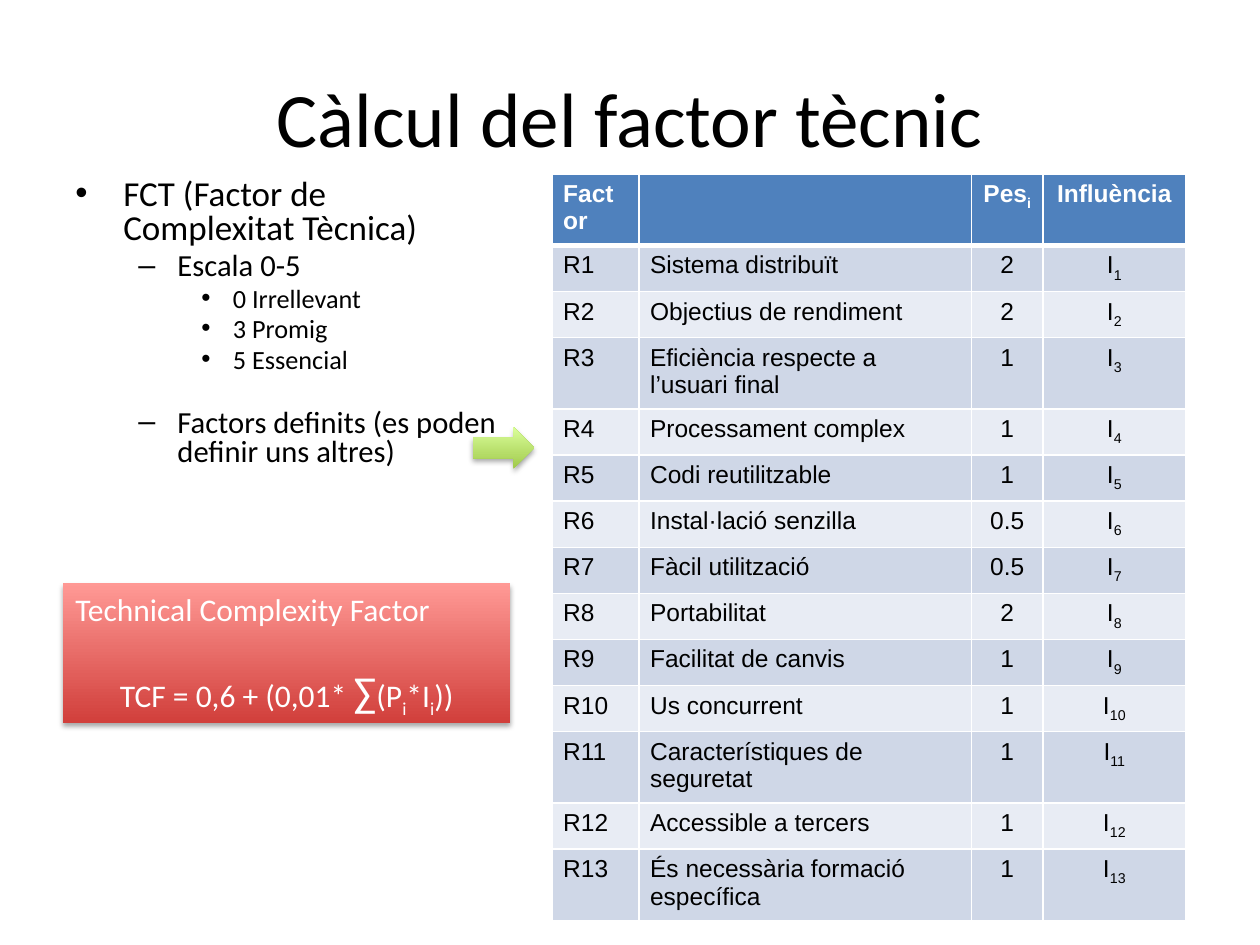
from pptx import Presentation
from pptx.dml.color import RGBColor
from pptx.enum.shapes import MSO_SHAPE
from pptx.enum.text import MSO_ANCHOR, PP_ALIGN
from pptx.oxml import parse_xml
from pptx.oxml.ns import nsdecls
from pptx.util import Inches, Pt

BULLETS = [
    (0, "FCT (Factor de Complexitat Tècnica)", 0),
    (1, "Escala 0-5", 3.5),
    (2, "0 Irrellevant", 3),
    (2, "3 Promig", 3),
    (2, "5 Essencial", 3),
    (1, "Factors definits (es poden definir uns altres)", 20.5),
]
LEVELS = [(0.38, 0.38, "•", 20), (0.81, 0.31, "–", 17.5), (1.25, 0.25, "•", 15)]
FACTORS = [
    ("Sistema distribuït", "2"),
    ("Objectius de rendiment", "2"),
    ("Eficiència respecte a l’usuari final", "1"),
    ("Processament complex", "1"),
    ("Codi reutilitzable", "1"),
    ("Instal·lació senzilla", "0.5"),
    ("Fàcil utilització", "0.5"),
    ("Portabilitat", "2"),
    ("Facilitat de canvis", "1"),
    ("Us concurrent", "1"),
    ("Característiques de seguretat", "1"),
    ("Accessible a tercers", "1"),
    ("És necessària formació específica", "1"),
]
COLUMNS = [0.69, 2.64, 0.57, 1.13]


def rgb(value):
    """Return the colour for a hex string."""
    return RGBColor.from_string(value)


def style(r, size, color, name="Calibri", bold=False):
    """Format one run."""
    r.font.size = Pt(size)
    r.font.name = name
    r.font.bold = bold
    r.font.color.rgb = rgb(color)


def add_runs(p, text, size, color, name="Calibri", bold=False):
    """Write text whose parts between tildes are subscripts."""
    for i, part in enumerate(text.split("~")):
        if part:
            r = p.add_run()
            r.text = part
            style(r, size, color, name, bold)
            if i % 2:
                r.font._element.set("baseline", "-25000")


def add_title(s, text):
    """Place and format the slide title."""
    sp = s.shapes.title
    sp.left, sp.top, sp.width, sp.height = map(Inches, (0.5, 0.3, 9, 1.25))
    tf = sp.text_frame
    tf.text = text
    tf.vertical_anchor = MSO_ANCHOR.MIDDLE
    p = tf.paragraphs[0]
    p.alignment = PP_ALIGN.CENTER
    style(p.runs[0], 44, "000000")


def add_bullets(s, items):
    """Add the multilevel bullet list."""
    sp = s.shapes.add_textbox(Inches(0.5), Inches(1.38), Inches(3.55), Inches(2.85))
    tf = sp.text_frame
    tf.word_wrap = True
    for i, (level, text, before) in enumerate(items):
        p = tf.paragraphs[0] if i == 0 else tf.add_paragraph()
        left, hanging, char, size = LEVELS[level]
        p.text = text
        p.level = level
        p.line_spacing = 0.8
        p.space_before = Pt(before)
        pPr = p._p.get_or_add_pPr()
        pPr.set("marL", str(Inches(left)))
        pPr.set("indent", str(-Inches(hanging)))
        for xml in (
            f'<a:buClr {nsdecls("a")}><a:srgbClr val="000000"/></a:buClr>',
            f'<a:buFont {nsdecls("a")} typeface="Arial"/>',
            f'<a:buChar {nsdecls("a")} char="{char}"/>',
        ):
            pPr.append(parse_xml(xml))
        style(p.runs[0], size, "000000")


def add_borders(cell, bottom):
    """Draw white borders round a cell."""
    tcPr = cell._tc.get_or_add_tcPr()
    for side, width in (("L", 1), ("R", 1), ("T", 1), ("B", bottom)):
        tcPr.append(parse_xml(
            f'<a:ln{side} {nsdecls("a")} w="{Pt(width)}"><a:solidFill>'
            f'<a:srgbClr val="FFFFFF"/></a:solidFill></a:ln{side}>'))


def add_factor_table(s):
    """Add the table of weighted factors."""
    rows = [("Factor", "", "Pes~i", "Influència")]
    rows += [(f"R{n}", name, weight, f"I~{n}")
             for n, (name, weight) in enumerate(FACTORS, 1)]
    frame = s.shapes.add_table(len(rows), len(COLUMNS), Inches(4.38), Inches(1.38),
                               Inches(sum(COLUMNS)), Inches(0.36 * len(rows)))
    table = frame.table
    for column, width in zip(table.columns, COLUMNS):
        column.width = Inches(width)
    for i, row in enumerate(rows):
        header = i == 0
        table.rows[i].height = Inches(0.36)
        fill = "4F81BD" if header else ("E8ECF4", "CFD7E7")[i % 2]
        for j, text in enumerate(row):
            cell = table.cell(i, j)
            cell.margin_left = cell.margin_right = Inches(0.09)
            add_borders(cell, 3 if header else 1)
            cell.fill.solid()
            cell.fill.fore_color.rgb = rgb(fill)
            p = cell.text_frame.paragraphs[0]
            if j > 1:
                p.alignment = PP_ALIGN.CENTER
            add_runs(p, text, 14, "FFFFFF" if header else "000000", "Arial", header)


def add_gradient_shape(s, kind, left, top, width, height, bottom, upper):
    """Add a shape with a vertical gradient and a soft shadow."""
    sp = s.shapes.add_shape(kind, Inches(left), Inches(top), Inches(width), Inches(height))
    sp.fill.gradient()
    sp.fill.gradient_angle = 90
    for stop, color in zip(sp.fill.gradient_stops, (bottom, upper)):
        stop.color.rgb = rgb(color)
    sp.line.fill.background()
    sp.shadow.inherit = False
    sp._element.spPr.find("{*}effectLst").append(parse_xml(
        f'<a:outerShdw {nsdecls("a")} blurRad="{Pt(3.1)}" dist="{Pt(1.8)}" dir="5400000" '
        'rotWithShape="0"><a:srgbClr val="000000"><a:alpha val="35000"/></a:srgbClr>'
        '</a:outerShdw>'))
    return sp


def add_formula(s):
    """Add the box with the complexity formula."""
    sp = add_gradient_shape(s, MSO_SHAPE.RECTANGLE, 0.5, 4.63, 3.55, 1.11, "D13F3B", "FF9995")
    tf = sp.text_frame
    tf.word_wrap = True
    tf.vertical_anchor = MSO_ANCHOR.TOP
    p = tf.paragraphs[0]
    p.alignment = PP_ALIGN.LEFT
    add_runs(p, "Technical Complexity Factor", 18, "FFFFFF")
    p = tf.add_paragraph()
    p.alignment = PP_ALIGN.CENTER
    p.space_before = Pt(22)
    add_runs(p, "TCF = 0,6 + (0,01* ", 18, "FFFFFF")
    add_runs(p, "∑", 24, "FFFFFF")
    add_runs(p, "(P~i~*I~i~))", 18, "FFFFFF")


def main():
    """Build and save the slide."""
    prs = Presentation()
    prs.slide_width, prs.slide_height = Inches(10), Inches(7.5)
    s = prs.slides.add_slide(prs.slide_layouts[5])
    add_bullets(s, BULLETS)
    add_title(s, "Càlcul del factor tècnic")
    add_factor_table(s)
    add_formula(s)
    add_gradient_shape(s, MSO_SHAPE.RIGHT_ARROW, 3.75, 3.39, 0.49, 0.33, "A0C94A", "DBFF9C")
    prs.save("out.pptx")


if __name__ == "__main__":
    main()
